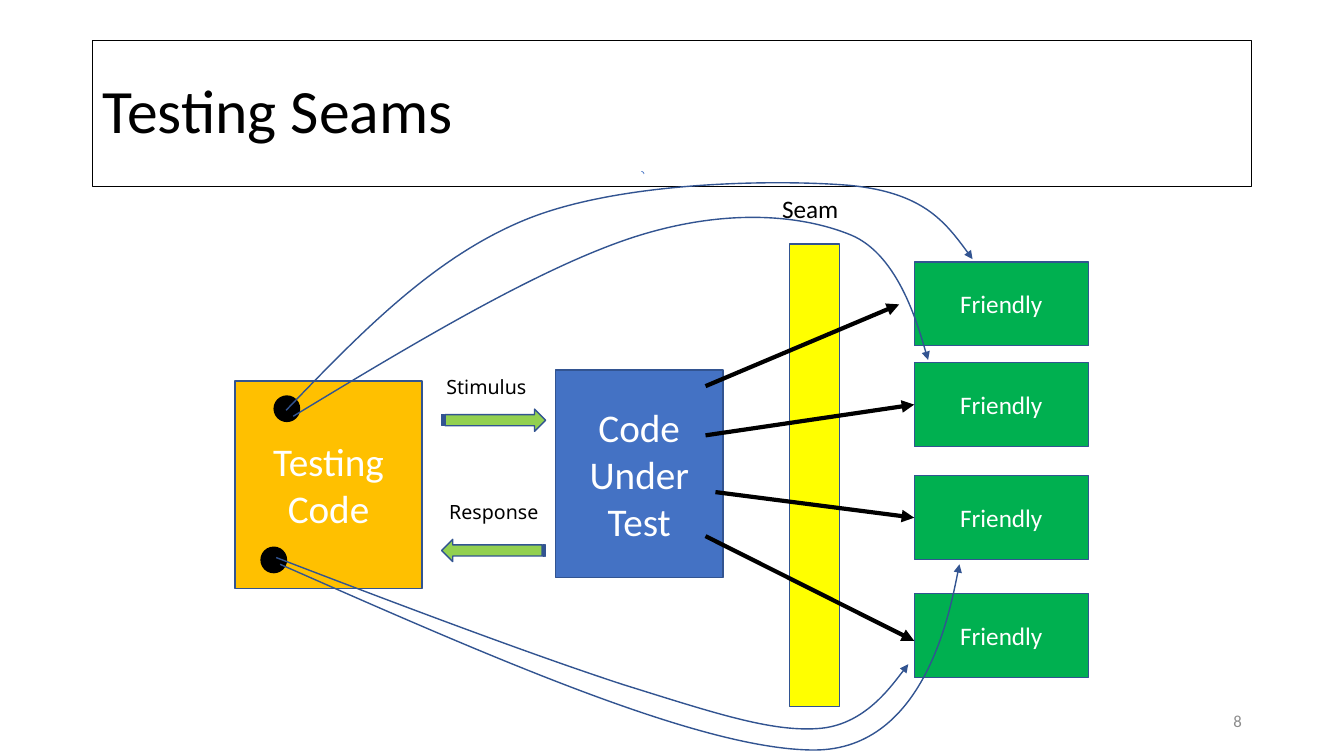
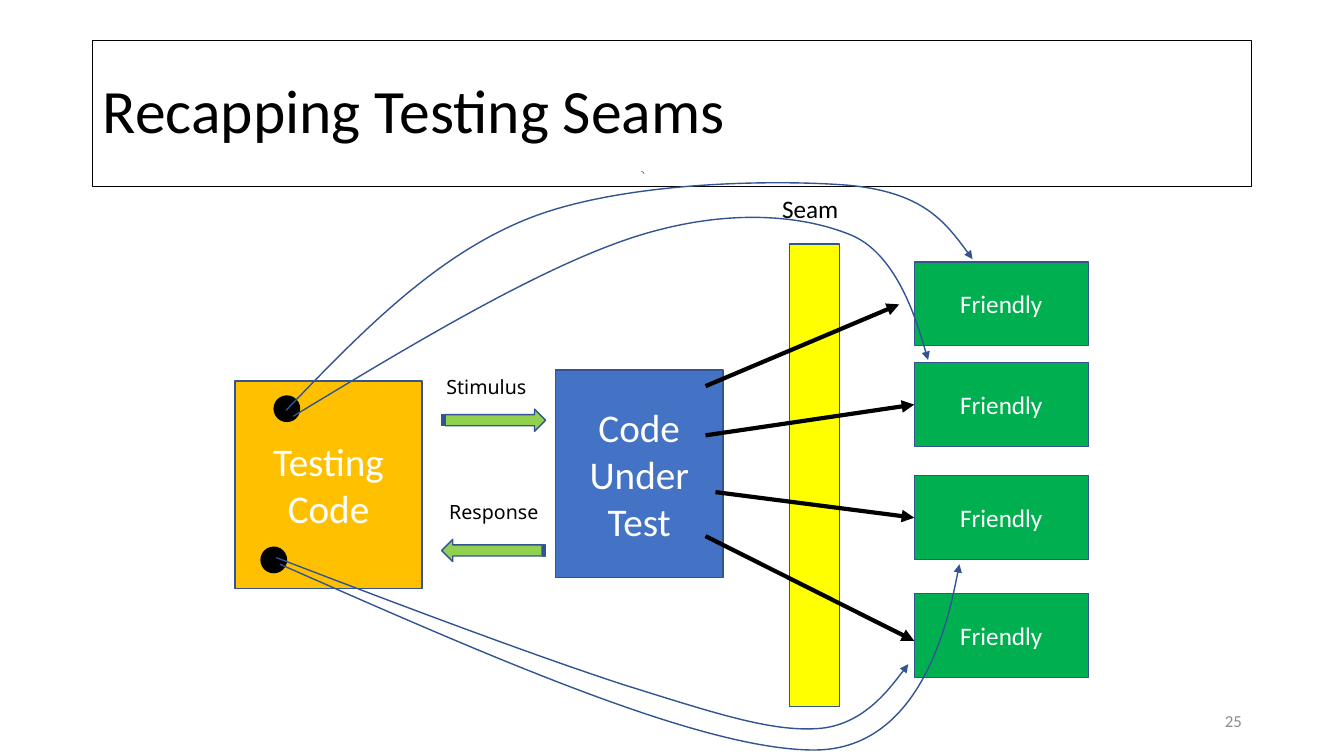
from dataclasses import dataclass

from lxml import etree
from pptx import Presentation
from pptx.dml.color import RGBColor
from pptx.enum.shapes import MSO_CONNECTOR, MSO_SHAPE
from pptx.enum.text import MSO_ANCHOR, MSO_AUTO_SIZE, PP_ALIGN
from pptx.oxml.ns import qn
from pptx.util import Cm, Pt

RECT, OVAL, ARC = MSO_SHAPE.RECTANGLE, MSO_SHAPE.OVAL, MSO_SHAPE.ARC
STRIPED_ARROW = MSO_SHAPE.STRIPED_RIGHT_ARROW
STRAIGHT = MSO_CONNECTOR.STRAIGHT
LEFT, CENTER, RIGHT = PP_ALIGN.LEFT, PP_ALIGN.CENTER, PP_ALIGN.RIGHT
MIDDLE = MSO_ANCHOR.MIDDLE
LEFT_SIDE = 1


@dataclass(frozen=True)
class Theme:
    font: str = "Calibri"
    label_font: str = "Noto Sans"
    ink: str = "000000"
    light: str = "FFFFFF"
    muted: str = "8C8C8C"
    outline: str = "325491"
    under_test: str = "4472C4"
    testing: str = "FFC000"
    exchange: str = "92D050"
    seam: str = "FFFF00"
    friendly: str = "00B050"
    title_pt: int = 44
    block_pt: int = 28
    body_pt: int = 18
    label_pt: int = 14
    number_pt: int = 12


T = Theme()

# Content (all lengths in cm)
SLIDES = [("Testing Seams", "8"), ("Recapping Testing Seams", "25")]
TITLE_BOX = (2.34, 1.02, 29.21, 3.68)
NUMBER_BOX = (23.93, 17.65, 7.62, 1.02)

BLOCKS = [
    ("Code Under Test", (14, 9.32, 4.22, 5.23), T.under_test),
    ("Testing Code", (5.92, 9.6, 4.72, 5.23), T.testing),
]
EXCHANGES = [  # label, label box, arrow top, rotation
    ("Stimulus", (11, 9.32, 2.82, 0.86), 10.31, 0),
    ("Response", (11.07, 12.47, 2.92, 0.86), 13.59, 180),
]
EXCHANGE_LEFT, EXCHANGE_SIZE = 11.13, (2.62, 0.56)

SEAM_BOX = (19.89, 6.15, 1.27, 11.66)
SEAM_LABEL = ("Seam", (19.46, 4.75, 1.96, 1.02))

FRIENDLY_LEFT, FRIENDLY_SIZE = 23.04, (4.39, 2.11)
FRIENDLY_TOPS = [6.6, 9.14, 11.99, 14.96]

CALLS = [  # start, end, index of the friendly box it joins
    ((17.78, 9.73), (22.66, 7.67), None),
    ((17.78, 10.97), (23.04, 10.2), 1),
    ((17.78, 13.51), (23.04, 16.15), None),
    ((18.03, 12.4), (23.04, 13.05), 2),
]
DOTS, DOT_SIZE = [(6.91, 9.98), (6.58, 13.79)], 0.64
ARC_BOX = (16.1, 4.32, 0.13, 0.13)

# Each curve: start point, then two handles and an end point per Bézier piece
CURVES = [
    [(7.06, 14.22), (12.37, 16.56), (17.68, 18.9), (20.52, 18.9),
     (23.37, 18.9), (24.18, 14.22), (24.18, 14.22)],
    [(7.21, 10.34), (9.07, 8.41), (10.95, 6.45), (13.31, 5.51),
     (15.67, 4.57), (19.53, 4.52), (21.39, 4.67),
     (23.27, 4.85), (23.9, 5.69), (24.51, 6.53)],
    [(7.39, 10.49), (10.49, 8.61), (13.59, 6.76), (15.93, 5.99),
     (18.26, 5.23), (20.19, 5.41), (21.44, 5.92),
     (22.68, 6.43), (23.39, 9.07), (23.39, 9.07)],
    [(6.96, 14.05), (10.19, 15.29), (13.44, 16.51), (15.7, 17.25),
     (17.98, 17.96), (19.41, 18.44), (20.6, 18.36),
     (21.79, 18.29), (22.89, 16.74), (22.89, 16.74)],
]


# Drawing helpers
def cm(values):
    return [Cm(v) for v in values]


def rgb(color):
    return RGBColor.from_string(color)


def set_line(sp, color, width):
    sp.line.color.rgb = rgb(color)
    sp.line.width = Pt(width)


def add_arrowhead(sp):
    ln = sp._element.spPr.find(qn("a:ln"))
    etree.SubElement(ln, qn("a:tailEnd"), type="triangle")


def write(sp, text, size, color, align=LEFT, font=T.font):
    tf = sp.text_frame
    tf.word_wrap = True
    tf.vertical_anchor = MIDDLE
    p = tf.paragraphs[0]
    p.alignment = align
    r = p.add_run()
    r.text = text
    r.font.name, r.font.size = font, Pt(size)
    r.font.color.rgb = rgb(color)
    return p


def add_shape(slide, kind, box, fill=None, line=T.outline, width=1):
    sp = slide.shapes.add_shape(kind, *cm(box))
    sp.shadow.inherit = False
    if fill:
        sp.fill.solid()
        sp.fill.fore_color.rgb = rgb(fill)
    else:
        sp.fill.background()
    set_line(sp, line, width)
    return sp


def add_label(slide, text, box, size, font=T.font):
    sp = slide.shapes.add_textbox(*cm(box))
    write(sp, text, size, T.ink, font=font)
    tf = sp.text_frame
    tf.vertical_anchor = MSO_ANCHOR.TOP
    tf.word_wrap = False
    tf.auto_size = MSO_AUTO_SIZE.SHAPE_TO_FIT_TEXT


def add_call(slide, start, end, target=None):
    line = slide.shapes.add_connector(STRAIGHT, *cm(start + end))
    set_line(line, T.ink, 3)
    add_arrowhead(line)
    etree.SubElement(line._element.spPr, qn("a:effectLst"))
    if target is not None:
        line.end_connect(target, LEFT_SIDE)


def add_curve(slide, points):
    start, *rest = [cm(pt) for pt in points]
    builder = slide.shapes.build_freeform(*start)
    builder.add_line_segments(rest, close=False)
    sp = builder.convert_to_shape()
    # Merge every three straight segments into one Bézier piece
    segments = list(sp._element.iter(qn("a:lnTo")))
    for i in range(0, len(segments), 3):
        piece = etree.Element(qn("a:cubicBezTo"))
        segments[i].addprevious(piece)
        for segment in segments[i:i + 3]:
            piece.append(segment[0])
            segment.getparent().remove(segment)
    sp.shadow.inherit = False
    sp.fill.background()
    set_line(sp, T.outline, 1)
    add_arrowhead(sp)


# Slide parts
def add_frame(slide, title, number):
    sp = slide.shapes.add_textbox(*cm(NUMBER_BOX))
    write(sp, number, T.number_pt, T.muted, RIGHT)
    sp = add_shape(slide, RECT, TITLE_BOX, line=T.ink, width=0.75)
    write(sp, title, T.title_pt, T.ink).line_spacing = 0.9


def add_diagram(slide):
    for text, box, fill in BLOCKS:
        sp = add_shape(slide, RECT, box, fill)
        write(sp, text, T.block_pt, T.light, CENTER)

    for text, box, top, rotation in EXCHANGES:
        arrow_box = (EXCHANGE_LEFT, top, *EXCHANGE_SIZE)
        add_shape(slide, STRIPED_ARROW, arrow_box, T.exchange).rotation = rotation
        add_label(slide, text, box, T.label_pt, T.label_font)

    add_shape(slide, RECT, SEAM_BOX, T.seam)
    friends = []
    for top in FRIENDLY_TOPS:
        sp = add_shape(slide, RECT, (FRIENDLY_LEFT, top, *FRIENDLY_SIZE), T.friendly)
        write(sp, "Friendly", T.body_pt, T.light, CENTER)
        friends.append(sp)

    for start, end, index in CALLS:
        add_call(slide, start, end, None if index is None else friends[index])
    add_label(slide, *SEAM_LABEL, T.body_pt)

    for dot in DOTS:
        add_shape(slide, OVAL, (*dot, DOT_SIZE, DOT_SIZE), T.ink, T.ink)
    add_shape(slide, ARC, ARC_BOX, line=T.under_test, width=0.5)
    for points in CURVES:
        add_curve(slide, points)


def main():
    prs = Presentation()
    prs.slide_width, prs.slide_height = Cm(33.87), Cm(19.05)
    blank = prs.slide_layouts[6]
    for title, number in SLIDES:
        slide = prs.slides.add_slide(blank)
        add_frame(slide, title, number)
        add_diagram(slide)
    prs.save("out.pptx")


if __name__ == "__main__":
    main()
